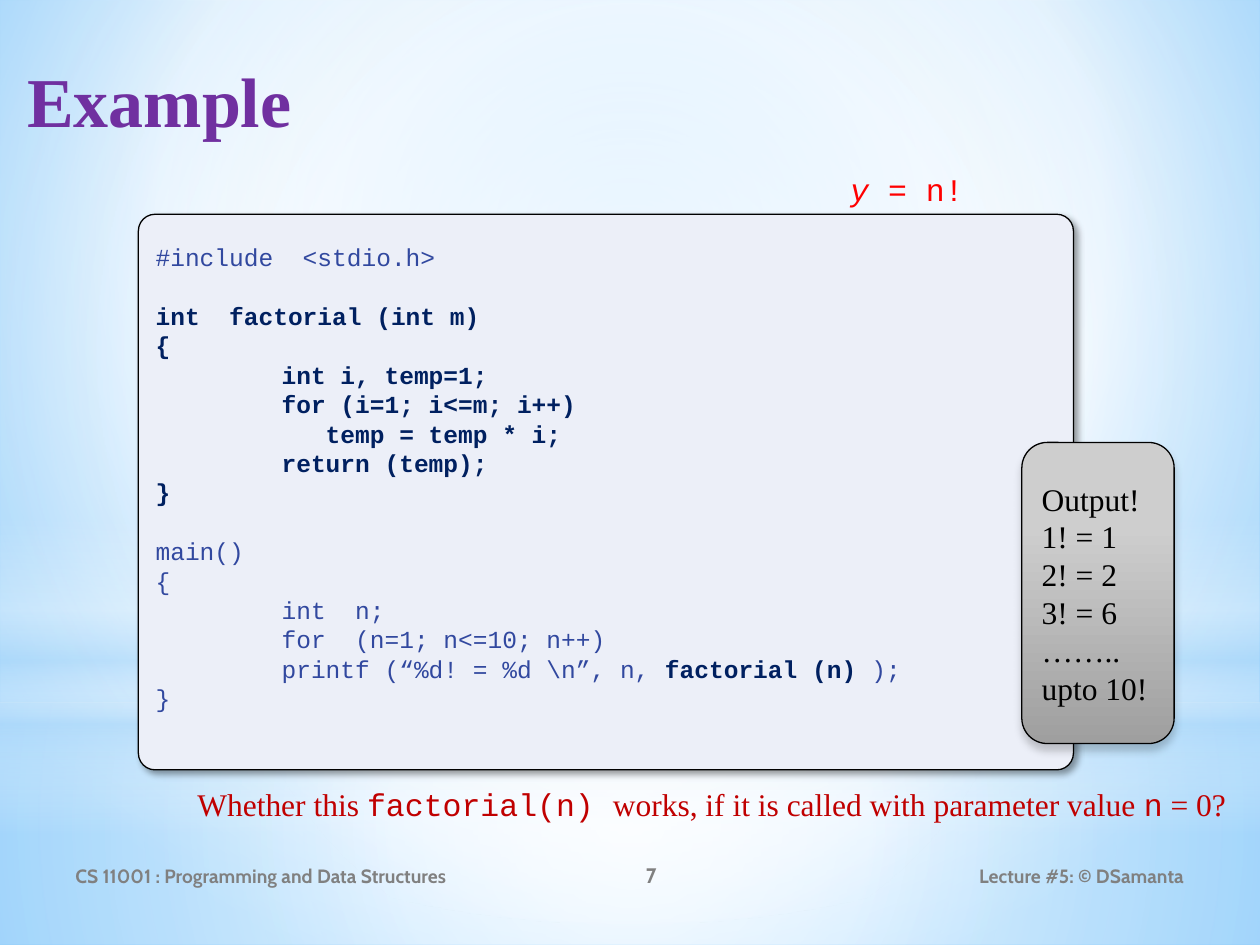
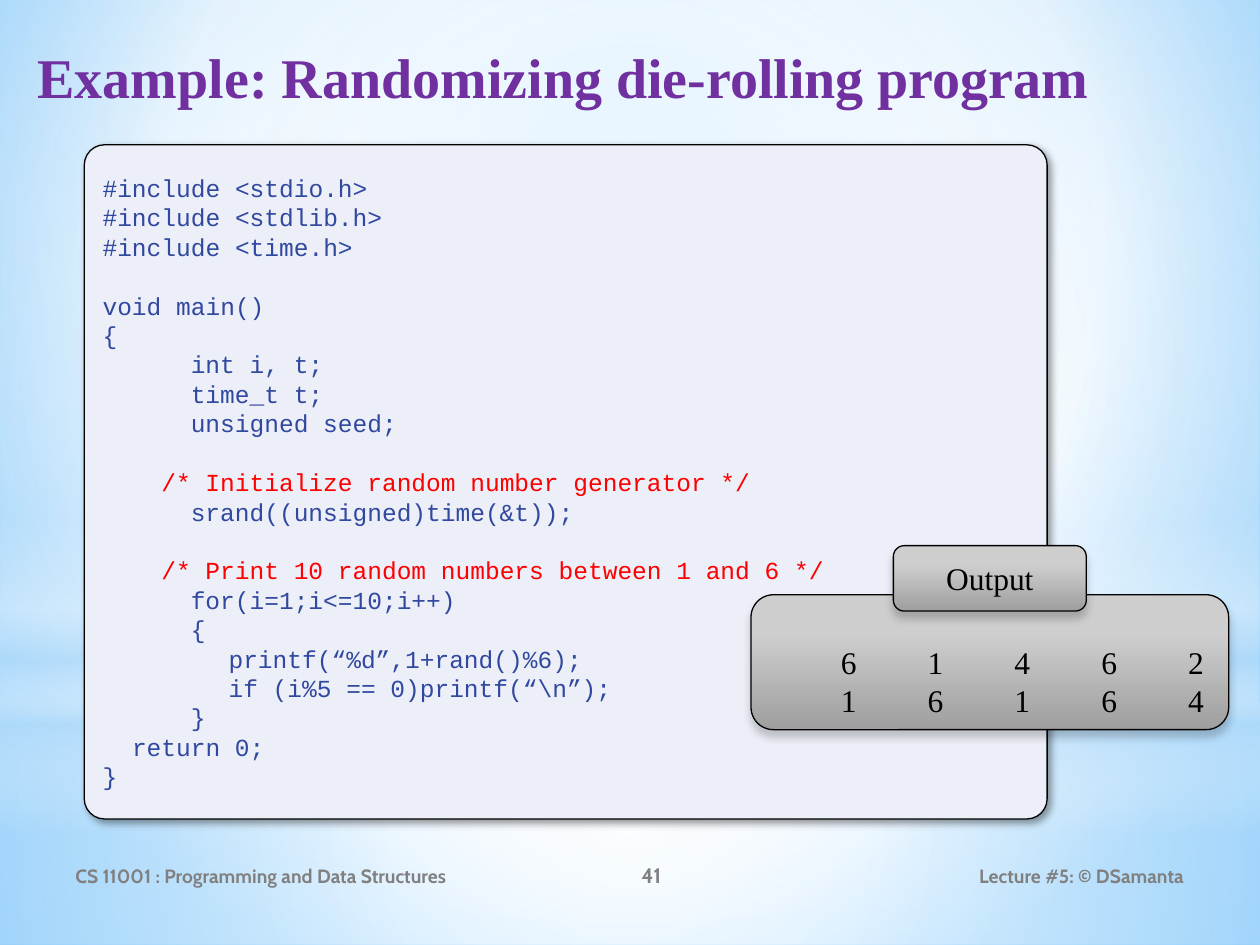
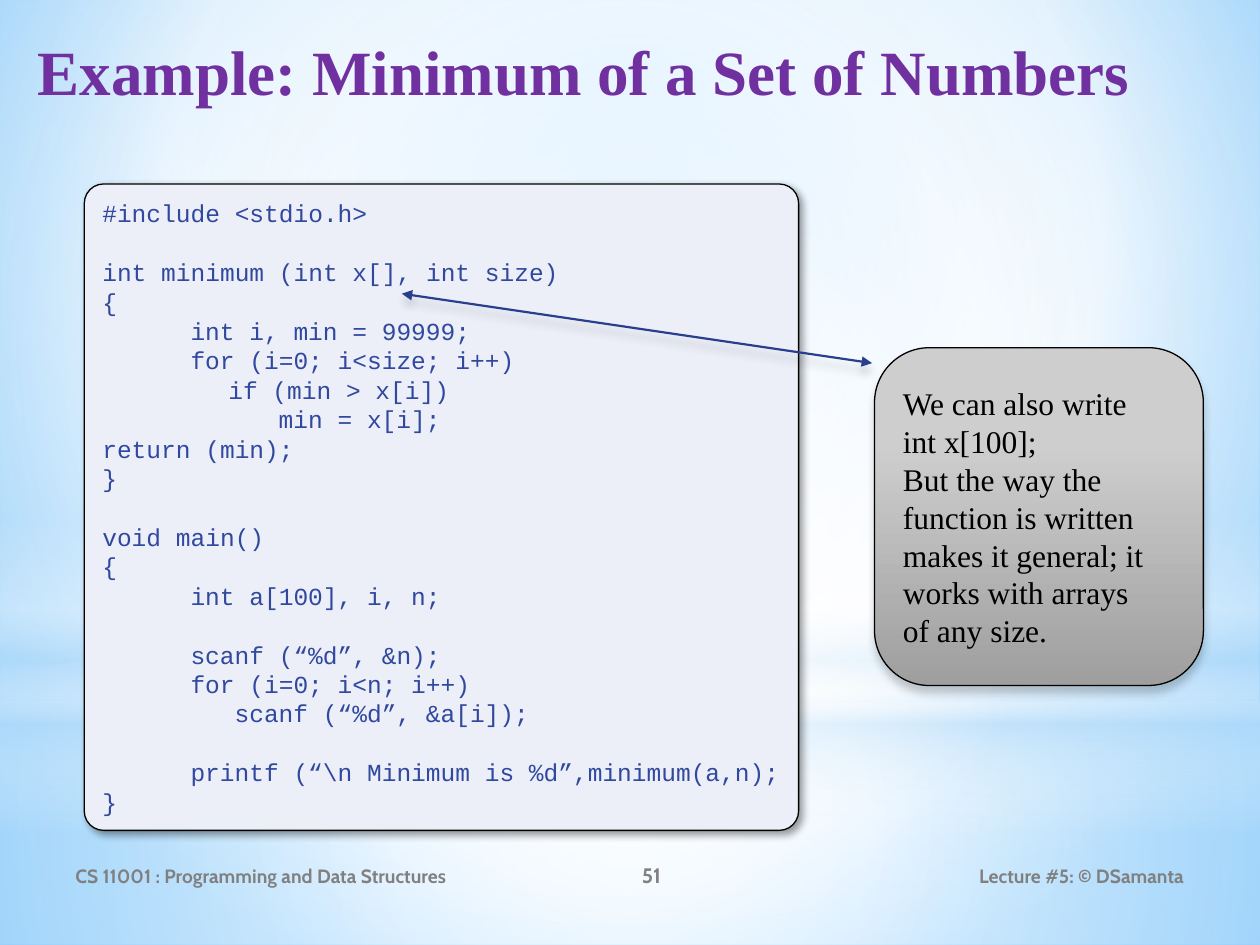
from pptx import Presentation
from pptx.dml.color import RGBColor as RGB
from pptx.enum.shapes import MSO_CONNECTOR as CONN, MSO_SHAPE as SHAPE
from pptx.enum.text import MSO_ANCHOR as ANCHOR, PP_ALIGN as ALIGN
from pptx.oxml import parse_xml
from pptx.oxml.ns import nsdecls, qn
from pptx.util import Cm, Pt
from dataclasses import dataclass, field


@dataclass
class Theme:
    panel: str = "ECEFF8"
    outline: str = "000000"
    arrow: str = "2A3E8E"
    # name: (font, size, colour, bold, italic)
    styles: dict = field(default_factory=lambda: {
        "title40": ("Times New Roman", 40, "7030A0", True, False),
        "title32": ("Times New Roman", 32, "7030A0", True, False),
        "title36": ("Times New Roman", 36, "7030A0", True, False),
        "footer": ("Cabin", 11, "808080", True, False),
        "number": ("Cabin", 12, "808080", True, False),
        "code": ("Courier New", 14, "31489F", False, False),
        "strong": ("Courier New", 14, "002060", True, False),
        "comment": ("Courier New", 14, "FF0000", False, False),
        "note": ("Times New Roman", 18, "000000", False, False),
        "formula": ("Courier New", 18, "FF0000", False, False),
        "variable": ("Courier New", 18, "FF0000", False, True),
        "ask": ("Times New Roman", 18, "C00000", False, False),
        "ask code": ("Courier New", 18, "C00000", False, False),
    })
    # gradient stops: (position, colour, opacity)
    back: tuple = ((0, "9ED5FF", 100), (60, "FFFFFF", 100), (100, "5BB9FF", 100))
    floor: tuple = ((0, "FFFFFF", 91), (37, "FFFFFF", 76), (100, "B4DCFA", 79))
    sky: tuple = ((0, "FFFFFF", 89), (48, "FFFFFF", 62), (100, "B4DCFA", 79))
    horizon: tuple = ((0, "FFFFFF", 0), (29, "FFFFFF", 30), (45, "B4DCFA", 40),
                      (55, "FFFFFF", 26), (65, "B4DCFA", 60), (100, "FFFFFF", 0))
    glow: tuple = ((0, "FFFFFF", 100), (56, "FFFFFF", 0))
    grey: tuple = ((28, "CECECE", 100), (100, "9F9F9F", 100))


T = Theme()
LINE = 1.2            # line height, in type sizes
CHAR, TAB = Pt(8.4), Cm(2.54)
CENTRE = (50, 50, 50, 50)
SHADOW = (f'<a:outerShdw {nsdecls("a")} blurRad="%d" dist="%d" dir="%d" rotWithShape="0">'
          '<a:srgbClr val="000000"><a:alpha val="%d"/></a:srgbClr></a:outerShdw>')
PANEL_SHADOW = SHADOW % (Pt(4), Pt(3), 45 * 60000, 40000)
NOTE_SHADOW = SHADOW % (Pt(5), Pt(4), 90 * 60000, 20000)


def gradient(stops, focus=None):
    """Circular gradient around focus, or a vertical one without it."""
    gs = "".join(f'<a:gs pos="{pos * 1000}"><a:srgbClr val="{c}">'
                 f'<a:alpha val="{alpha * 1000}"/></a:srgbClr></a:gs>'
                 for pos, c, alpha in stops)
    way = '<a:lin ang="5400000" scaled="0"/>'
    if focus:
        sides = " ".join(f'{k}="{v * 1000}"' for k, v in zip("ltrb", focus))
        way = f'<a:path path="circle"><a:fillToRect {sides}/></a:path>'
    return parse_xml(f'<a:gradFill {nsdecls("a")} rotWithShape="1">'
                     f'<a:gsLst>{gs}</a:gsLst>{way}</a:gradFill>')


def write(tf, lines, style, align=ALIGN.LEFT, stops=()):
    """Write lines; an empty line is a gap, leading blanks are an indent."""
    size = T.styles[style][1]
    gap, p = 0, None
    for line in lines:
        if not line:
            gap += size * LINE
            continue
        p = tf.add_paragraph() if p is not None else tf.paragraphs[0]
        p.alignment, p.line_spacing = align, Pt(size * LINE)
        if gap:
            p.space_before = Pt(gap)
        gap = 0
        runs = [(line, style)] if isinstance(line, str) else line
        pPr = p._p.get_or_add_pPr()
        if stops:
            tabs = "".join(f'<a:tab pos="{x}" algn="l"/>' for x in stops)
            pPr.append(parse_xml(f'<a:tabLst {nsdecls("a")}>{tabs}</a:tabLst>'))
        else:
            text, first = runs[0]
            body = text.lstrip()
            lead = text[:len(text) - len(body)]
            if lead and body:
                pPr.set("marL", str(lead.count("\t") * TAB + lead.count(" ") * CHAR))
                pPr.set("indent", "0")
                runs = [(body, first), *runs[1:]]
        for text, name in runs:
            r = p.add_run()
            r.text = text
            r.font.name, pt, c, r.font.bold, r.font.italic = T.styles[name]
            r.font.size, r.font.color.rgb = Pt(pt), RGB.from_string(c)


# Content: each box is (left, top, width, height) in cm
factorial = [
    "#include  <stdio.h>", "",
    *([(text, "strong")] for text in (
        "int  factorial (int m)", "{", "\tint i, temp=1;",
        "\tfor (i=1; i<=m; i++)", "\t   temp = temp * i;",
        "\treturn (temp);", "}")),
    "", "main()", "{", "\tint  n;", "\tfor  (n=1; n<=10; n++)",
    [("\tprintf (“%d! = %d \\n”, n, ", "code"), ("factorial (n)", "strong"), (" );", "code")],
    "}"]
die_rolling = [
    "#include <stdio.h>", "#include <stdlib.h>", "#include <time.h>", "",
    "void main()", "{", "      int i, t;", "      time_t t;", "      unsigned seed;", "",
    [("    /* Initialize random number generator */", "comment")],
    "      srand((unsigned)time(&t));", "",
    [("    /* Print 10 random numbers between 1 and 6 */", "comment")],
    "      for(i=1;i<=10;i++)", "      {", "\tprintf(“%d”,1+rand()%6);",
    "\tif (i%5 == 0)printf(“\\n”);", "      }", "  return 0;", "}"]
minimum = [
    "#include <stdio.h>", "", "int minimum (int x[], int size)", "{",
    "      int i, min = 99999;", "      for (i=0; i<size; i++)", "\tif (min > x[i])",
    "            min = x[i];", "return (min);", "}", "",
    "void main()", "{", "      int a[100], i, n;", "",
    "      scanf (“%d”, &n);", "      for (i=0; i<n; i++)",
    "         scanf (“%d”, &a[i]);", "",
    "      printf (“\\n Minimum is %d”,minimum(a,n);", "}"]
column_stops = [Cm(1.43 + 1.75 * k) for k in range(5)]

slides = [
    dict(number="7", title="Example", title_style="title40", title_box=(0.3, 1.04, 24.21, 1.68),
         panel=(2.79, 4.32, 18.85, 11.2), code=factorial, bottom=0.72,
         notes=[((20.6, 8.92, 3.07, 6.07),
                 ["Output!", "1! = 1", "2! = 2", "3! = 6", "……..", "upto 10!"],
                 ALIGN.LEFT, (), 0.13)],
         labels=[((16.89, 3.3, 2.82, 1.02), [("y", "variable"), (" = n!", "formula")]),
                 ((3.73, 15.7, 21.36, 1.02),
                  [("Whether this ", "ask"), ("factorial(n) ", "ask code"),
                   ("works, if it is called with parameter value ", "ask"),
                   ("n", "ask code"), (" = 0?", "ask")])]),
    dict(number="41", title="Example: Randomizing die-rolling program", title_style="title32",
         title_box=(0.51, 0.74, 24.21, 1.78),
         panel=(1.7, 2.92, 19.41, 13.59), code=die_rolling, bottom=0.13,
         notes=[((15.14, 11.99, 9.63, 2.72), ["\t6\t1\t4\t6\t2", "\t1\t6\t1\t6\t4"],
                 ALIGN.LEFT, column_stops, 0.89),
                ((18.01, 11, 3.89, 1.32), ["Output"], ALIGN.CENTER, (), 0.13)],
         labels=[]),
    dict(number="51", title="Example: Minimum of a Set of Numbers", title_style="title36",
         title_box=(0.51, 0.53, 24.21, 3.18),
         panel=(1.7, 3.71, 14.4, 13.03), code=minimum, bottom=0.13,
         notes=[((17.63, 7.01, 6.63, 6.81),
                 ["We can also write", "int x[100];", "But the way the", "function is written",
                  "makes it general; it", "works with arrays", "of any size."],
                 ALIGN.LEFT, (), 0.13)],
         labels=[], arrow=(8.1, 5.92, 17.58, 7.32)),
]

prs = Presentation()
prs.slide_width, prs.slide_height = Cm(25.4), Cm(19.05)
blank = prs.slide_layouts[6]
for ph in list(blank.placeholders):
    ph._element.getparent().remove(ph._element)

# Shared background
master = prs.slide_master
master.background.fill.background()
bgPr = master._element.find(".//" + qn("p:bgPr"))
bgPr.replace(bgPr[0], gradient(T.back, (20, 10, 20, 60)))

for n, item in enumerate(slides):
    s = prs.slides.add_slide(blank)

    # Light bands, made once and kept on the layout
    if n == 0:
        bands = []
        for kind, top, height, stops, focus in (
                (SHAPE.RECTANGLE, 14.17, 4.88, T.floor, CENTRE),
                (SHAPE.RECTANGLE, 0, 14.17, T.sky, CENTRE),
                (SHAPE.RECTANGLE, 10.46, 6.35, T.horizon, None),
                (SHAPE.OVAL, 4.44, 14.17, T.glow, CENTRE)):
            sp = s.shapes.add_shape(kind, 0, Cm(top), prs.slide_width, Cm(height))
            sp._element.spPr.insert(2, gradient(stops, focus))
            sp.line.fill.background()
            sp.shadow.inherit = False
            bands.append(sp)
        for sp in bands:
            blank.shapes._spTree.append(sp._element)

    # Title, footer and free text
    texts = [
        (item["title_box"], [item["title"]], item["title_style"], ALIGN.LEFT, ANCHOR.TOP, True),
        ((1.27, 17.14, 9.32, 1.02), ["CS 11001 : Programming and Data Structures"],
         "footer", ALIGN.LEFT, ANCHOR.MIDDLE, True),
        ((10.59, 17.14, 5.08, 1.02), [item["number"]],
         "number", ALIGN.CENTER, ANCHOR.MIDDLE, True),
        ((17.14, 17.14, 6.98, 1.02), ["Lecture #5: © DSamanta"],
         "footer", ALIGN.RIGHT, ANCHOR.MIDDLE, True),
        *((box, [runs], "note", ALIGN.LEFT, ANCHOR.TOP, False) for box, runs in item["labels"]),
    ]
    for box, lines, style, align, anchor, wrap in texts:
        tf = s.shapes.add_textbox(*map(Cm, box)).text_frame
        tf.word_wrap, tf.vertical_anchor = wrap, anchor
        write(tf, lines, style, align)

    # Code panel, then the grey notes over it
    cards = [(item["panel"], item["code"], "code", ALIGN.LEFT, (), 0.13, item["bottom"]),
             *((box, lines, "note", align, stops, top, 0.13)
               for box, lines, align, stops, top in item["notes"])]
    for box, lines, style, align, stops, top, bottom in cards:
        sp = s.shapes.add_shape(SHAPE.ROUNDED_RECTANGLE, *map(Cm, box))
        if style == "code":
            sp.adjustments[0] = 0.03
            sp.fill.solid()
            sp.fill.fore_color.rgb = RGB.from_string(T.panel)
        else:
            sp._element.spPr.insert(2, gradient(T.grey))
        sp.line.color.rgb, sp.line.width = RGB.from_string(T.outline), Pt(0.75)
        sp.shadow.inherit = False
        sp._element.spPr.find(qn("a:effectLst")).append(
            parse_xml(PANEL_SHADOW if style == "code" else NOTE_SHADOW))
        tf = sp.text_frame
        tf.word_wrap, tf.vertical_anchor = True, ANCHOR.MIDDLE
        tf.margin_top, tf.margin_bottom = Cm(top), Cm(bottom)
        write(tf, lines, style, align, stops)

    # Two-headed arrow from the code to its note
    if "arrow" in item:
        cx = s.shapes.add_connector(CONN.STRAIGHT, *map(Cm, item["arrow"]))
        cx.line.color.rgb, cx.line.width = RGB.from_string(T.arrow), Pt(1.25)
        ln = cx.line._get_or_add_ln()
        for end in ("headEnd", "tailEnd"):
            ln.append(parse_xml(f'<a:{end} {nsdecls("a")} type="triangle"/>'))
        cx._element.spPr.append(parse_xml(
            f'<a:effectLst {nsdecls("a")}>{NOTE_SHADOW}</a:effectLst>'))

prs.save("out.pptx")
